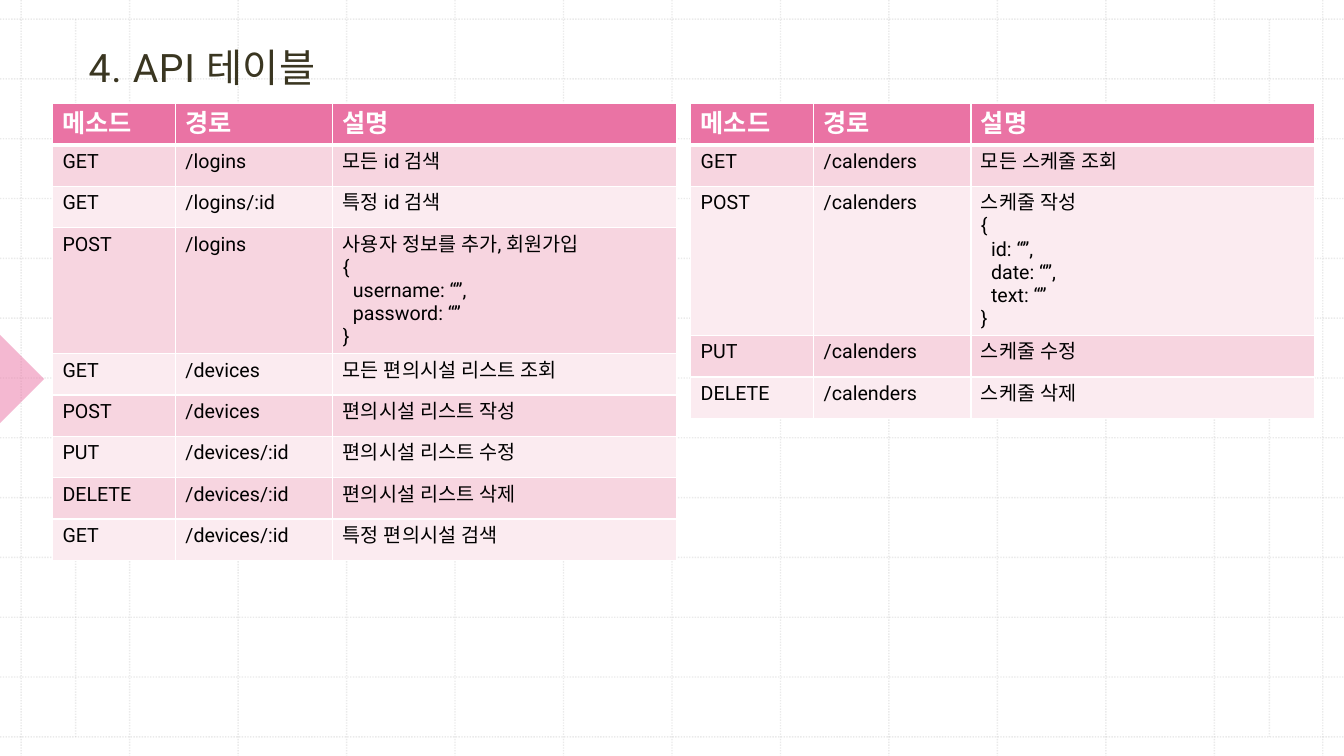
from pptx import Presentation
from pptx.dml.color import RGBColor
from pptx.enum import shapes, text
from pptx.oxml import parse_xml
from pptx.oxml.ns import nsdecls
from pptx.util import Inches, Pt

HUES = {"pink": "EA73A4", "rose": "F7D5E0", "blush": "FBEBF0", "grid": "BCBCBC",
        "title": "3A3621", "white": "FFFFFF", "black": "000000"}
FONT = "Roboto"


def rgb(name):
    return RGBColor.from_string(HUES[name])


def write(para, words, size, hue, bold=False):
    """Add one run, with the font set for Latin and Korean script alike."""
    run = para.add_run()
    run.text = words
    run.font.name, run.font.size, run.font.bold = FONT, Pt(size), bold
    run.font.color.rgb = rgb(hue)
    run.font._element.append(parse_xml(f'<a:ea {nsdecls("a")} typeface="{FONT}"/>'))
    return run


deck = Presentation()
deck.slide_width, deck.slide_height = Inches(13.33), Inches(7.5)
slide = deck.slides.add_slide(deck.slide_layouts[5])

# Dotted grid: 13 evenly spaced lines each way, plus two margin lines
lines = [(0.75, 0.19, 0.75, 7.31), (12.59, 0.19, 12.59, 7.31)]
for i in range(13):
    x = 0.21 + i * (13.12 - 0.21) / 12
    y = 0.19 + i * (7.31 - 0.19) / 12
    lines += [(x, 0, x, 7.5), (0, y, 13.33, y)]
for ends in lines:
    line = slide.shapes.add_connector(shapes.MSO_CONNECTOR.STRAIGHT, *map(Inches, ends))
    line.line.width = Pt(1)
    line.line.color.rgb = rgb("grid")
    props = line._element.spPr
    props.find(".//{*}srgbClr").append(parse_xml(f'<a:alpha {nsdecls("a")} val="30000"/>'))
    props.find("{*}ln").append(parse_xml(f'<a:prstDash {nsdecls("a")} val="sysDot"/>'))
    props.append(parse_xml(f'<a:effectLst {nsdecls("a")}/>'))

# Pink marker on the left edge
mark = slide.shapes.add_shape(shapes.MSO_SHAPE.RIGHT_TRIANGLE, Inches(-0.31),
                              Inches(3.45), Inches(0.62), Inches(0.62))
mark.rotation = 225
mark.shadow.inherit = False
mark.line.fill.background()
mark.fill.solid()
mark.fill.fore_color.rgb = rgb("pink")
mark._element.spPr.find(".//{*}srgbClr").append(
    parse_xml(f'<a:alpha {nsdecls("a")} val="50000"/>'))

# Title, raised above the grid
title = slide.shapes.title
slide.shapes.element.append(title.element)
title.left, title.top = Inches(0.76), Inches(0.15)
title.width, title.height = Inches(11.29), Inches(0.85)
frame = title.text_frame
frame.auto_size = text.MSO_AUTO_SIZE.NONE
frame.word_wrap = True
frame.vertical_anchor = text.MSO_ANCHOR.BOTTOM
frame.margin_left = frame.margin_top = frame.margin_right = Inches(0.12)
frame.margin_bottom = Inches(0.1)
para = frame.paragraphs[0]
para.alignment = text.PP_ALIGN.LEFT
para.line_spacing = 1.14
write(para, "4. API 테이블", 28, "title").font._element.set("spc", "50")

# Two API tables; each newline in a cell starts a paragraph
HEAD = ("메소드", "경로", "설명")
COLS = (1.22, 1.56, 3.41)
ROW = 0.41
tables = {
    0.52: [
        HEAD,
        ("GET", "/logins", "모든 id 검색"),
        ("GET", "/logins/:id", "특정 id 검색"),
        ("POST", "/logins", "사용자 정보를 추가, 회원가입\n{\nusername: “”,\npassword: “”\n}"),
        ("GET", "/devices", "모든 편의시설 리스트 조회"),
        ("POST", "/devices", "편의시설 리스트 작성"),
        ("PUT", "/devices/:id", "편의시설 리스트 수정"),
        ("DELETE", "/devices/:id", "편의시설 리스트 삭제"),
        ("GET", "/devices/:id", "특정 편의시설 검색"),
    ],
    6.85: [
        HEAD,
        ("GET", "/calenders", "모든 스케줄 조회"),
        ("POST", "/calenders", "스케줄 작성\n{\nid: “”,\ndate: “”,\ntext: “”\n}"),
        ("PUT", "/calenders", "스케줄 수정"),
        ("DELETE", "/calenders", "스케줄 삭제"),
    ],
}
for left, rows in tables.items():
    table = slide.shapes.add_table(len(rows), len(COLS), Inches(left), Inches(1.03),
                                   Inches(sum(COLS)), Inches(ROW * len(rows))).table
    for col, width in zip(table.columns, COLS):
        col.width = Inches(width)
    for r, row in enumerate(rows):
        table.rows[r].height = Inches(ROW)
        fill = "pink" if r == 0 else ("blush", "rose")[r % 2]
        size, hue = (18, "white") if r == 0 else (14, "black")
        for c, words in enumerate(row):
            cell = table.cell(r, c)
            props = cell._tc.get_or_add_tcPr()
            for side in "LRTB":
                thick = Pt(3) if (r, side) in ((0, "B"), (1, "T")) else Pt(1)
                props.append(parse_xml(
                    f'<a:ln{side} {nsdecls("a")} w="{thick}"><a:solidFill>'
                    f'<a:srgbClr val="{HUES["white"]}"/></a:solidFill></a:ln{side}>'))
            cell.fill.solid()
            cell.fill.fore_color.rgb = rgb(fill)
            for n, part in enumerate(words.split("\n")):
                frame = cell.text_frame
                para = frame.add_paragraph() if n else frame.paragraphs[0]
                if "“" in part:
                    para._p.get_or_add_pPr().set("marL", str(Inches(0.1)))
                write(para, part, size, hue, bold=r == 0)

deck.save("out.pptx")
